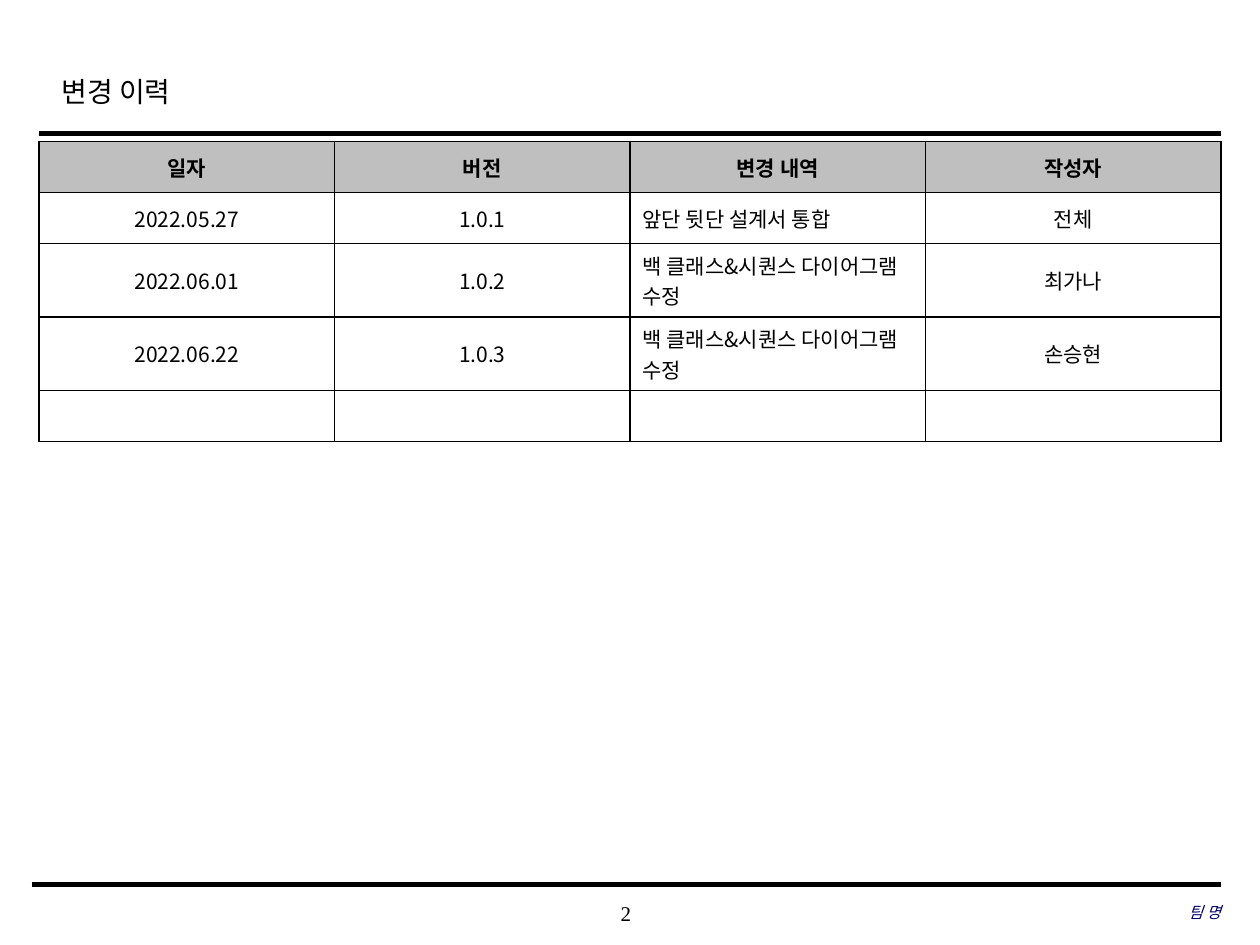
from dataclasses import dataclass

from lxml import etree
from pptx import Presentation
from pptx import util as u
from pptx.dml.color import RGBColor
from pptx.enum import shapes, text
from pptx.oxml.ns import qn


@dataclass(frozen=True)
class Theme:
    """Colours, fonts and type sizes of the slide."""
    ink: str = "000000"
    team: str = "000066"
    header: str = "BFBFBF"
    body: str = "FFFFFF"
    latin: str = "Times New Roman"
    korean: str = "Noto Sans CJK KR"
    title_size: int = 16
    text_size: int = 12
    team_size: int = 9


THEME = Theme()
MARGIN = 0.79
RIGHT = 24.61
COLUMN_WIDTH = (RIGHT - MARGIN) / 4
SINGLE_ROW = 1.03
DOUBLE_ROW = 1.48
ROW_HEIGHTS = [SINGLE_ROW, SINGLE_ROW, DOUBLE_ROW, DOUBLE_ROW, SINGLE_ROW]
DESCRIPTION_COLUMN = 2
HISTORY = [
    ["일자", "버전", "변경 내역", "작성자"],
    ["2022.05.27", "1.0.1", "앞단 뒷단 설계서 통합", "전체"],
    ["2022.06.01", "1.0.2", "백 클래스&시퀀스 다이어그램 수정", "최가나"],
    ["2022.06.22", "1.0.3", "백 클래스&시퀀스 다이어그램 수정", "손승현"],
    ["", "", "", ""],
]


def add_run(paragraph, content, size, latin, color=THEME.ink, bold=False, italic=False):
    """Add one formatted run to a paragraph."""
    run = paragraph.add_run()
    run.text = content
    font = run.font
    font.size = u.Pt(size)
    font.bold = bold
    font.italic = italic
    font.color.rgb = RGBColor.from_string(color)
    font.name = latin
    east_asian = etree.SubElement(run._r.get_or_add_rPr(), qn("a:ea"))
    east_asian.set("typeface", THEME.korean)


def add_label(slide, box, alignment, content, size, inset=0.0, line_spacing=1.0,
              anchor=text.MSO_ANCHOR.MIDDLE, **style):
    """Add a text box holding a single line."""
    shape = slide.shapes.add_textbox(*map(u.Cm, box))
    frame = shape.text_frame
    frame.word_wrap = True
    frame.vertical_anchor = anchor
    frame.margin_left = frame.margin_right = u.Cm(inset)
    frame.margin_top = frame.margin_bottom = u.Cm(inset / 2)
    paragraph = frame.paragraphs[0]
    paragraph.alignment = alignment
    paragraph.line_spacing = line_spacing
    add_run(paragraph, content, size, THEME.latin, **style)


def add_rule(slide, left, top, weight):
    """Add a horizontal rule that ends at the right margin."""
    connector = slide.shapes.add_connector(
        shapes.MSO_CONNECTOR.STRAIGHT, u.Cm(left), u.Cm(top), u.Cm(RIGHT), u.Cm(top))
    connector.line.color.rgb = RGBColor.from_string(THEME.ink)
    connector.line.width = u.Pt(weight)
    etree.SubElement(connector._element.spPr, qn("a:effectLst"))


def set_borders(cell):
    """Draw a thin border on all four sides of a cell."""
    properties = cell._tc.get_or_add_tcPr()
    for position, side in enumerate(("lnL", "lnR", "lnT", "lnB")):
        line = etree.Element(qn(f"a:{side}"), w=str(u.Pt(1)))
        fill = etree.SubElement(line, qn("a:solidFill"))
        etree.SubElement(fill, qn("a:srgbClr"), val=THEME.ink)
        properties.insert(position, line)


def fill_cell(cell, content, is_header, alignment):
    """Set the fill, borders and text of a cell."""
    cell.fill.solid()
    cell.fill.fore_color.rgb = RGBColor.from_string(THEME.header if is_header else THEME.body)
    set_borders(cell)
    cell.vertical_anchor = text.MSO_ANCHOR.MIDDLE
    paragraph = cell.text_frame.paragraphs[0]
    paragraph.alignment = alignment
    if content:
        add_run(paragraph, content, THEME.text_size, THEME.korean, bold=is_header)
    else:
        etree.SubElement(paragraph._p, qn("a:endParaRPr"), sz=str(THEME.text_size * 100))


def add_history_table(slide, top):
    """Add the table of changes."""
    column_count = len(HISTORY[0])
    table = slide.shapes.add_table(
        len(HISTORY), column_count, u.Cm(MARGIN), u.Cm(top),
        u.Cm(COLUMN_WIDTH * column_count), u.Cm(sum(ROW_HEIGHTS))).table
    table.horz_banding = False
    for column in table.columns:
        column.width = u.Cm(COLUMN_WIDTH)
    for row_index, (values, height) in enumerate(zip(HISTORY, ROW_HEIGHTS)):
        table.rows[row_index].height = u.Cm(height)
        for column_index, content in enumerate(values):
            is_header = row_index == 0
            is_left = column_index == DESCRIPTION_COLUMN and not is_header
            alignment = text.PP_ALIGN.LEFT if is_left else text.PP_ALIGN.CENTER
            fill_cell(table.cell(row_index, column_index), content, is_header, alignment)


def main():
    """Build and save the change history slide."""
    presentation = Presentation()
    presentation.slide_width = u.Cm(25.4)
    presentation.slide_height = u.Cm(19.05)
    slide = presentation.slides.add_slide(presentation.slide_layouts[6])
    add_label(slide, (9.98, 17.98, 5.28, 0.84), text.PP_ALIGN.CENTER, "2", THEME.text_size)
    add_rule(slide, MARGIN, 2.69, 2.5)
    add_rule(slide, 0.64, 17.83, 3)
    add_label(slide, (0.99, 1.24, 19.18, 1.27), text.PP_ALIGN.LEFT, "변경 이력",
              THEME.title_size, inset=0.25, line_spacing=1.2, anchor=text.MSO_ANCHOR.TOP)
    add_label(slide, (16.84, 17.96, 7.77, 0.84), text.PP_ALIGN.RIGHT, "팀 명",
              THEME.team_size, color=THEME.team, italic=True)
    add_history_table(slide, 2.85)
    presentation.save("out.pptx")


if __name__ == "__main__":
    main()
